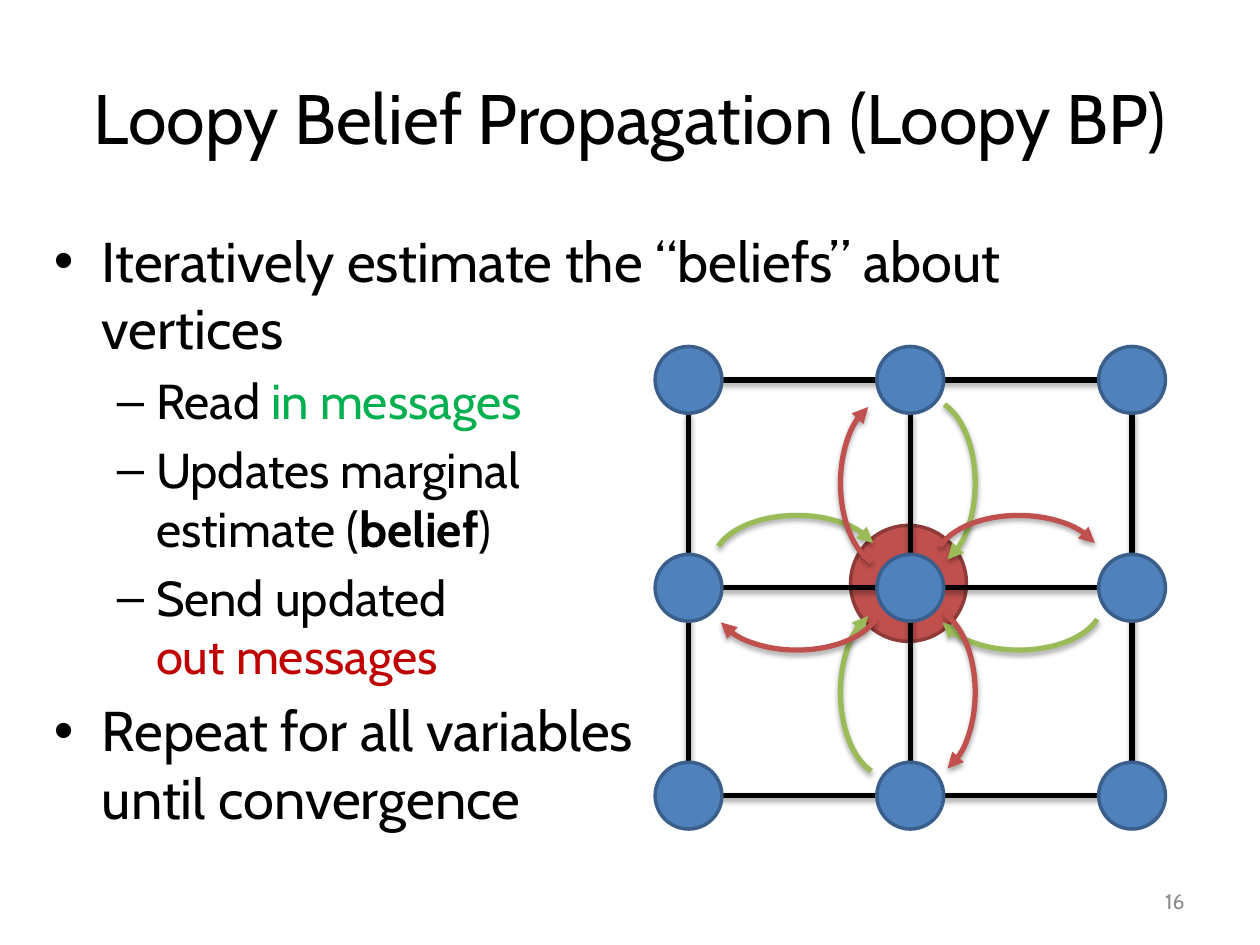
from dataclasses import dataclass

import pptx
import pptx.dml.color
import pptx.enum.shapes
import pptx.enum.text
import pptx.oxml
import pptx.oxml.ns
import pptx.util
from pptx.util import Inches

SHAPE = pptx.enum.shapes.MSO_SHAPE
ALIGN = pptx.enum.text.PP_ALIGN
ANCHOR = pptx.enum.text.MSO_ANCHOR


@dataclass(frozen=True)
class Theme:
    font: str = "Cabin"
    black: str = "000000"
    page_grey: str = "8C8C8C"
    in_text: str = "00B050"
    out_text: str = "C00000"
    vertex: str = "4F81BD"
    vertex_edge: str = "3A5F8C"
    in_arc: str = "9BBB59"
    out_arc: str = "C0504D"
    belief_edge: str = "8E3B39"
    title_size: int = 40
    body_size: int = 32
    sub_size: int = 28
    page_size: int = 12
    edge_width: int = 3
    outline_width: int = 2


THEME = Theme()
BREAK = None

# Each paragraph: level, then spans of (text, colour, bold)
BODY = [
    (0, [("Iteratively estimate the “beliefs” about vertices", THEME.black, False)]),
    (1, [("Read ", THEME.black, False), ("in messages", THEME.in_text, False)]),
    (1, [("Updates marginal", THEME.black, False), BREAK,
         ("estimate (", THEME.black, False), ("belief", THEME.black, True),
         (")", THEME.black, False)]),
    (1, [("Send updated ", THEME.black, False), BREAK,
         ("out messages", THEME.out_text, False)]),
    (0, [("Repeat for all variables", THEME.black, False), BREAK,
         ("until convergence", THEME.black, False)]),
]
# Per level: bullet, size, left margin, hanging indent
LEVELS = [("•", THEME.body_size, 0.38, -0.38), ("–", THEME.sub_size, 0.81, -0.31)]

# Each message: side of the hub (x, y) and rotation
IN_MESSAGES = [(1, -1, 0), (1, 1, 90), (-1, 1, 180), (-1, -1, 270)]
OUT_MESSAGES = [(1, 1, 0), (1, -1, 270), (-1, 1, 90), (-1, -1, 180)]


def rgb(colour):
    return pptx.dml.color.RGBColor.from_string(colour)


def add_run(paragraph, text, size, colour, bold=False):
    run = paragraph.add_run()
    run.text = text
    run.font.name = THEME.font
    run.font.size = pptx.util.Pt(size)
    run.font.bold = bold
    run.font.color.rgb = rgb(colour)


def text_frame(slide, box, anchor):
    frame = slide.shapes.add_textbox(*map(Inches, box)).text_frame
    frame.word_wrap = True
    frame.vertical_anchor = anchor
    return frame


def add_line_of_text(slide, box, text, size, colour, align):
    paragraph = text_frame(slide, box, ANCHOR.MIDDLE).paragraphs[0]
    paragraph.alignment = align
    add_run(paragraph, text, size, colour)


def add_body(slide, box):
    frame = text_frame(slide, box, ANCHOR.TOP)
    for index, (level, spans) in enumerate(BODY):
        paragraph = frame.add_paragraph() if index else frame.paragraphs[0]
        bullet, size, margin, indent = LEVELS[level]
        paragraph.level = level
        paragraph.space_before = pptx.util.Pt(0.2 * size)
        properties = paragraph._p.get_or_add_pPr()
        properties.set("marL", str(Inches(margin)))
        properties.set("indent", str(Inches(indent)))
        namespace = pptx.oxml.ns.nsdecls("a")
        properties.append(pptx.oxml.parse_xml(
            f'<a:buFont {namespace} typeface="Arial"/>'))
        properties.append(pptx.oxml.parse_xml(
            f'<a:buChar {namespace} char="{bullet}"/>'))
        for span in spans:
            if span is BREAK:
                paragraph.add_line_break()
            else:
                text, colour, bold = span
                add_run(paragraph, text, size, colour, bold)


def style_stroke(stroke, colour):
    """Set the thick line with the soft shadow that edges and messages share."""
    stroke.line.color.rgb = rgb(colour)
    stroke.line.width = pptx.util.Pt(THEME.edge_width)
    stroke._element.spPr.append(pptx.oxml.parse_xml(
        f'<a:effectLst {pptx.oxml.ns.nsdecls("a")}>'
        f'<a:outerShdw blurRad="{pptx.util.Pt(3.1)}" dist="{pptx.util.Pt(1.8)}" '
        'dir="5400000" rotWithShape="0">'
        f'<a:srgbClr val="{THEME.black}"><a:alpha val="35000"/></a:srgbClr>'
        '</a:outerShdw></a:effectLst>'))


def add_circle(slide, left, top, diameter, fill, outline):
    circle = slide.shapes.add_shape(
        SHAPE.OVAL, *map(Inches, (left, top, diameter, diameter)))
    circle.shadow.inherit = False
    circle.fill.solid()
    circle.fill.fore_color.rgb = rgb(fill)
    circle.line.color.rgb = rgb(outline)
    circle.line.width = pptx.util.Pt(THEME.outline_width)


def add_edge(slide, *ends):
    edge = slide.shapes.add_connector(
        pptx.enum.shapes.MSO_CONNECTOR.STRAIGHT, *map(Inches, ends))
    style_stroke(edge, THEME.black)


def add_vertex_grid(slide, box):
    left, top, width, height = box
    diameter = 0.53
    columns = [left + i * (width - diameter) / 2 for i in range(3)]
    rows = [top + i * (height - diameter) / 2 for i in range(3)]
    middle = diameter / 2
    for row in rows:
        add_edge(slide, left + diameter, row + middle, columns[-1], row + middle)
    for column in reversed(columns):
        add_edge(slide, column + middle, top + diameter, column + middle, rows[-1])
    for row in rows:
        for column in columns:
            add_circle(slide, column, row, diameter, THEME.vertex, THEME.vertex_edge)


def add_messages(slide, box, messages, colour):
    """Draw one group of curved arrows around the centre of the grid box."""
    left, top, width, height = box
    hub_x, hub_y = left + width / 2 - 0.02, top + height / 2
    arc_width, arc_height = 0.75, 1.33
    group = slide.shapes.add_group_shape()
    for side_x, side_y, rotation in messages:
        if rotation % 180:
            x, y = hub_x + side_x * 0.88, hub_y - 0.04 + side_y * 0.16
        else:
            x, y = hub_x + side_x * 0.16, hub_y + side_y * 0.83
        arc = group.shapes.add_shape(SHAPE.ARC, *map(Inches, (
            x - arc_width / 2, y - arc_height / 2, arc_width, arc_height)))
        arc.adjustments[0] = 169.09
        arc.adjustments[1] = 45.37
        arc.rotation = rotation
        arc.fill.background()
        style_stroke(arc, colour)
        arc.line._get_or_add_ln().append(pptx.oxml.parse_xml(
            f'<a:tailEnd {pptx.oxml.ns.nsdecls("a")} type="triangle"/>'))


def main():
    deck = pptx.Presentation()
    deck.slide_width, deck.slide_height = Inches(10), Inches(7.5)
    slide = deck.slides.add_slide(deck.slide_layouts[6])
    grid_box = (5.2, 2.75, 4.05, 3.83)

    add_circle(slide, 6.75, 4.17, 0.92, THEME.out_arc, THEME.belief_edge)
    add_line_of_text(slide, (0.5, 0.3, 9, 1.25), "Loopy Belief Propagation (Loopy BP)",
                     THEME.title_size, THEME.black, ALIGN.CENTER)
    add_body(slide, (0.33, 1.75, 9.25, 4.67))
    add_vertex_grid(slide, grid_box)
    add_messages(slide, grid_box, IN_MESSAGES, THEME.in_arc)
    add_messages(slide, grid_box, OUT_MESSAGES, THEME.out_arc)
    add_line_of_text(slide, (7.17, 6.95, 2.33, 0.4), "16",
                     THEME.page_size, THEME.page_grey, ALIGN.RIGHT)
    deck.save("out.pptx")


if __name__ == "__main__":
    main()
